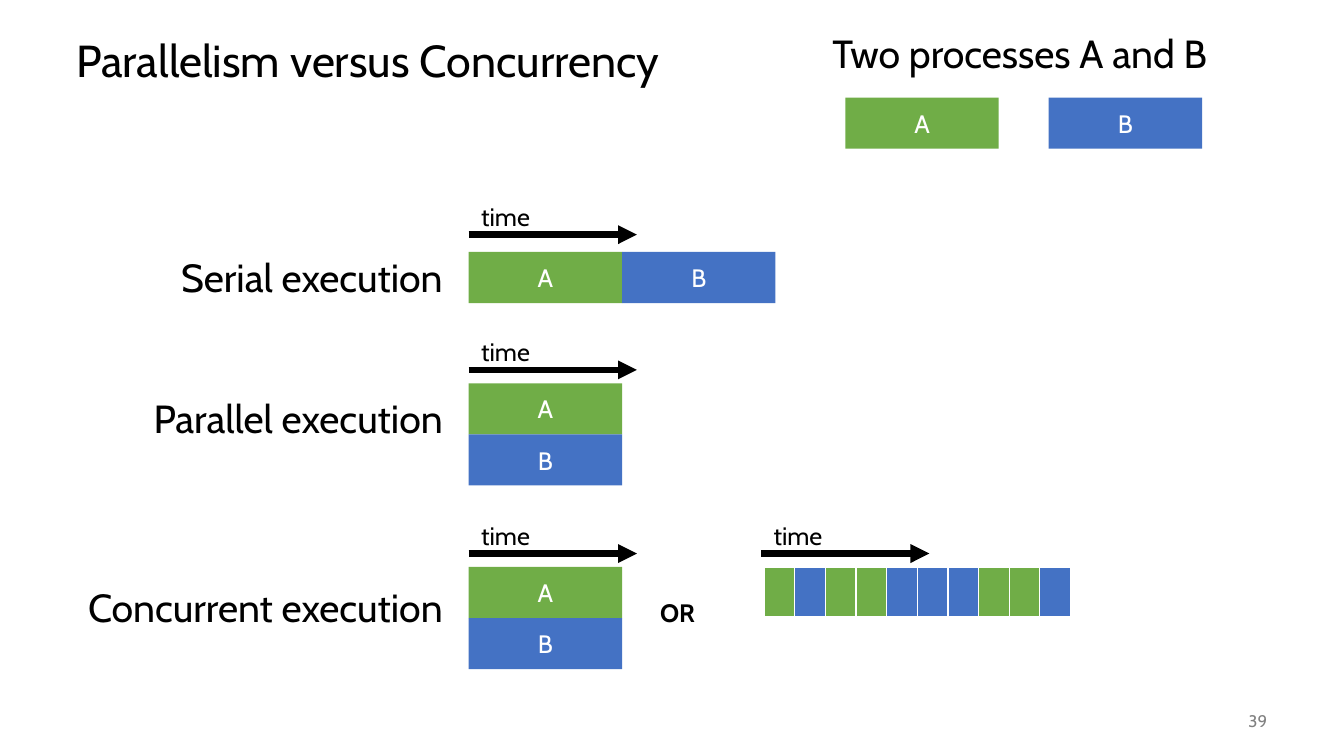
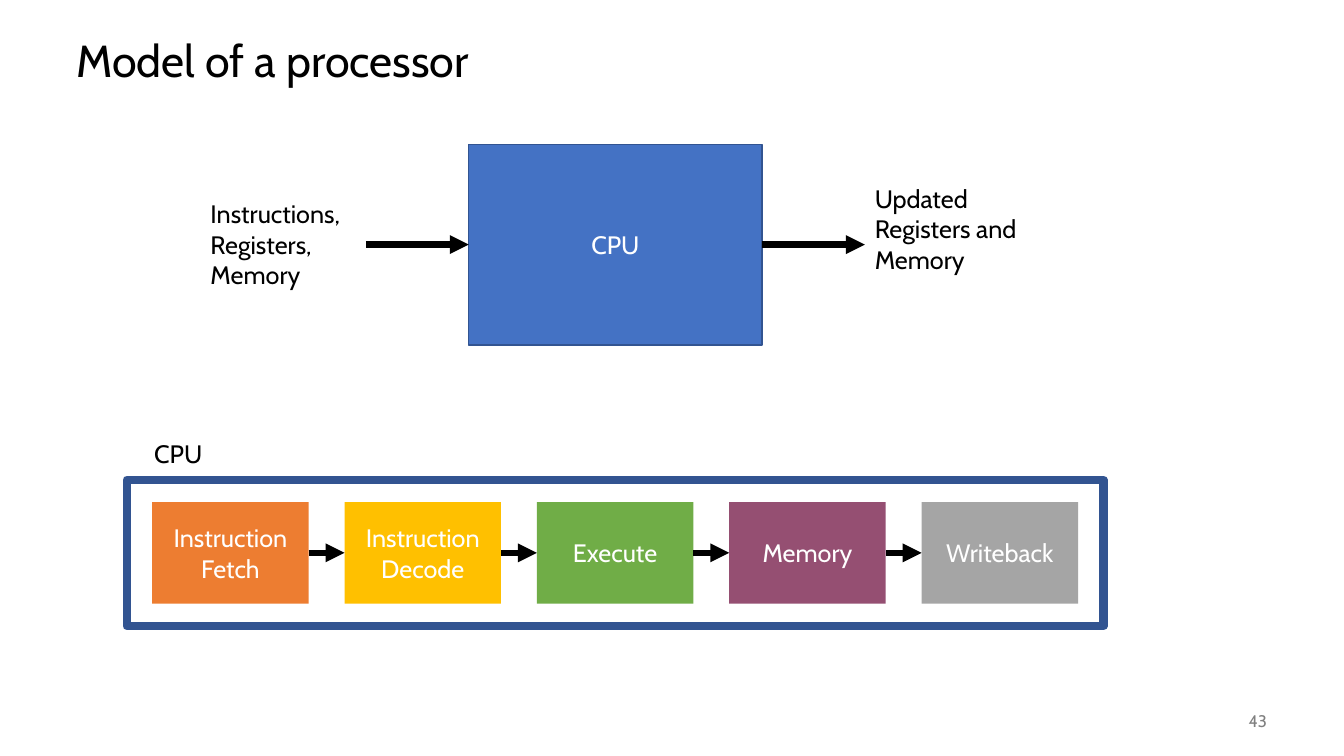
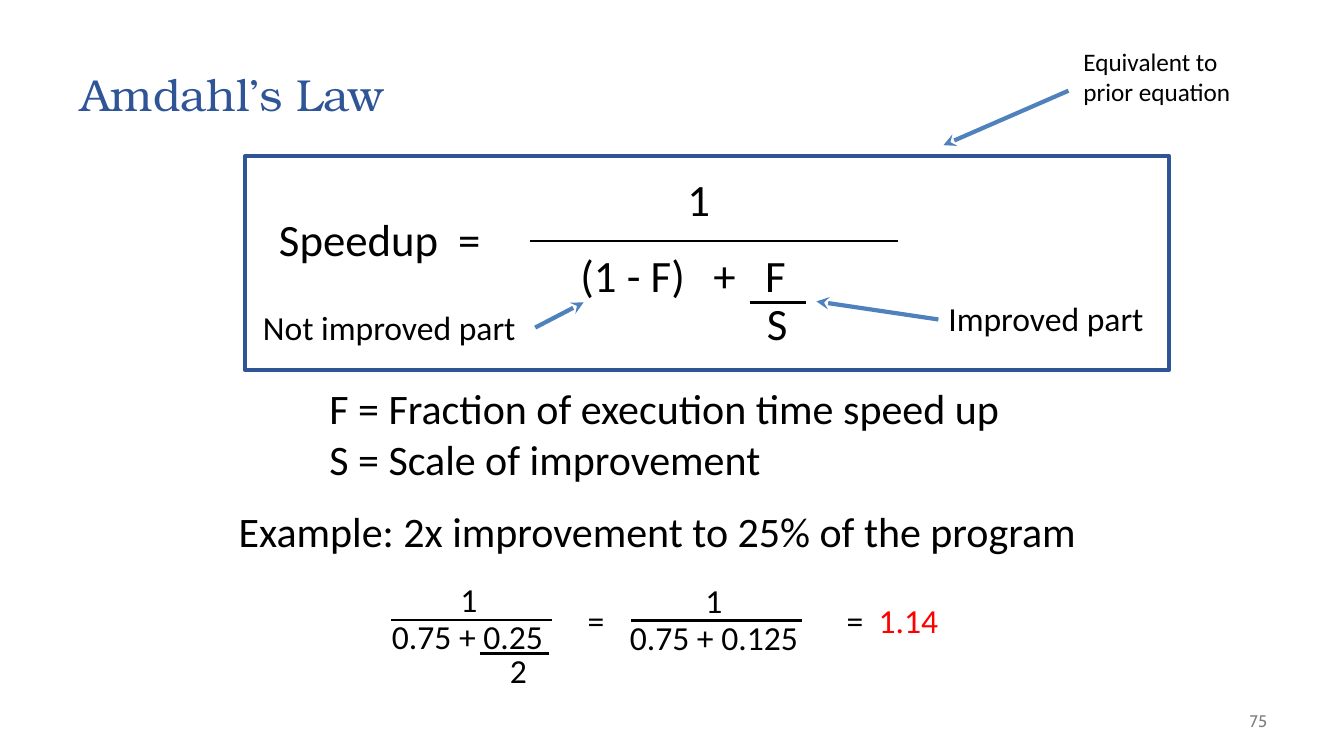
import pptx
import pptx.util
import pptx.dml.color
import pptx.enum.shapes
import pptx.enum.text
import pptx.oxml.ns
from lxml import etree

Pt = pptx.util.Pt
RGB = pptx.dml.color.RGBColor.from_string
ALIGN = pptx.enum.text.PP_ALIGN
ANCHOR = pptx.enum.text.MSO_ANCHOR
qn = pptx.oxml.ns.qn

HUES = {
    "black": "000000", "white": "FFFFFF", "gray": "808080",
    "green": "70AD47", "blue": "4472C4", "navy": "325491",
    "orange": "ED7D31", "gold": "FFC000", "plum": "954F72",
    "silver": "A5A5A5", "steel": "4F81BD", "royal": "2F5597", "red": "FF0000",
}


def put(slide, text, x, y, w, h, size=18, hue="black", font="Cabin", align="LEFT",
        anchor="TOP", bold=False, space=None, tabs=(), fill=None, edge=None):
    spot = [Pt(v) for v in (x, y, w, h)]
    if fill or edge:
        shape = slide.shapes.add_shape(pptx.enum.shapes.MSO_SHAPE.RECTANGLE, *spot)
        shape.shadow.inherit = False
        if fill:
            shape.fill.solid()
            shape.fill.fore_color.rgb = RGB(HUES[fill])
        else:
            shape.fill.background()
        if edge:
            shape.line.color.rgb = RGB(HUES[edge[0]])
            shape.line.width = Pt(edge[1])
        else:
            shape.line.fill.background()
    else:
        shape = slide.shapes.add_textbox(*spot)
    frame = shape.text_frame
    frame.word_wrap = True
    frame.vertical_anchor = getattr(ANCHOR, anchor)
    frame.text = text
    for para in frame.paragraphs:
        para.alignment = getattr(ALIGN, align)
        if space:
            para.line_spacing = space
        if tabs:
            stops = etree.SubElement(para._p.get_or_add_pPr(), qn("a:tabLst"))
            for stop in tabs:
                etree.SubElement(stops, qn("a:tab"), pos=str(Pt(stop)), algn="l")
        for run in para.runs:
            run.font.size = Pt(size)
            run.font.name = font
            run.font.bold = bold
            run.font.color.rgb = RGB(HUES[hue])
    return shape


def link(slide, x1, y1, x2, y2, hue="black", width=4.5, head="triangle"):
    line = slide.shapes.add_connector(
        pptx.enum.shapes.MSO_CONNECTOR.STRAIGHT, Pt(x1), Pt(y1), Pt(x2), Pt(y2))
    line.line.color.rgb = RGB(HUES[hue])
    line.line.width = Pt(width)
    if head:
        etree.SubElement(line.line._get_or_add_ln(), qn("a:tailEnd"), type=head)
    etree.SubElement(line._element.spPr, qn("a:effectLst"))
    return line


deck = pptx.Presentation()
deck.slide_width, deck.slide_height = Pt(960), Pt(540)

plain = {"x": 47.5, "y": 18, "w": 864, "h": 54, "space": 0.9}
serif = {"x": 50.4, "y": 21.6, "w": 864, "h": 90, "hue": "royal", "font": "TeX Gyre Bonum"}
slides = []
for title, page, style in (
    ("Parallelism versus Concurrency", "39", plain),
    ("Model of a processor", "43", plain),
    ("Amdahl’s Law", "75", serif),
):
    slide = deck.slides.add_slide(deck.slide_layouts[6])
    put(slide, title, size=32, anchor="MIDDLE", **style)
    put(slide, page, 840.2, 500.4, 72, 28.8, 12, "gray", align="RIGHT", anchor="MIDDLE")
    slides.append(slide)
modes, model, law = slides

put(modes, "Two processes A and B", 587.5, 20.9, 337, 80, 28, space=0.9)
left, wide, high = 334.8, 109.6, 36.5
for name, x, y in (
    ("A", 603.8, 69.7), ("B", 749.1, 69.7),
    ("A", left, 180), ("B", left + wide, 180),
    ("A", left, 273.8), ("B", left, 273.8 + high),
    ("A", left, 405), ("B", left, 405 + high),
):
    put(modes, name, x, y, wide, high, hue="white", align="CENTER", anchor="MIDDLE",
        fill="green" if name == "A" else "blue")

for label, y in (
    ("Serial execution", 177.2),
    ("Parallel execution", 278.4),
    ("Concurrent execution", 413),
):
    put(modes, label, 43.2, y, 280, 41, 28, align="RIGHT")

for x, y in ((left, 167.6), (left, 264.2), (left, 395.4), (543.7, 395.4)):
    link(modes, x, y, x + 120.2, y)
    put(modes, "time", x + 1.8, y - 27.2, 55.4, 29)
put(modes, "OR", 464.4, 423.4, 69, 29, bold=True)

turns = "ABAABBBAAB"
grid = modes.shapes.add_table(1, len(turns), Pt(545.8), Pt(405.4), Pt(219), Pt(36)).table
for col, turn in enumerate(turns):
    grid.columns[col].width = Pt(21.9)
    cell = grid.cell(0, col)
    for side, width in (("L", 1), ("R", 1), ("T", 1), ("B", 3)):
        rim = etree.SubElement(cell._tc.get_or_add_tcPr(), qn("a:ln" + side), w=str(Pt(width)))
        paint = etree.SubElement(rim, qn("a:solidFill"))
        etree.SubElement(paint, qn("a:srgbClr"), val=HUES["white"])
    cell.fill.solid()
    cell.fill.fore_color.rgb = RGB(HUES["green" if turn == "A" else "blue"])

source = put(model, "Instructions,\nRegisters,\nMemory", 143.3, 138.4, 118.1, 72.6)
core = put(model, "CPU", 334.8, 103, 209.6, 143.4, hue="white", align="CENTER",
           anchor="MIDDLE", fill="blue", edge=("navy", 1))
result = put(model, "Updated\nRegisters and\nMemory", 617.8, 127.5, 118.1, 94.4)

stages = []
for step, (name, hue) in enumerate((
    ("Instruction Fetch", "orange"),
    ("Instruction Decode", "gold"),
    ("Execute", "green"),
    ("Memory", "plum"),
    ("Writeback", "silver"),
)):
    stages.append(put(model, name, 108.7 + 137.4 * step, 358.6, 111.8, 72.6, hue="white",
                      align="CENTER", anchor="MIDDLE", fill=hue))
for chain in ([source, core, result], stages):
    for start, end in zip(chain, chain[1:]):
        arrow = link(model, 0, 0, 0, 0)
        arrow.begin_connect(start, 3)
        arrow.end_connect(end, 1)
put(model, "", 90.5, 342.7, 697.8, 104.4, edge=("navy", 6))
put(model, "CPU", 103, 309.6, 118, 29)

put(law, "", 175, 111.6, 660.2, 152.6, edge=("royal", 3))
for text, x, y, w, h, size, tabs in (
    ("Speedup\t=", 192.2, 148, 172, 46, 32, (128,)),
    ("(1 - F)\t+\tF", 407.5, 173.5, 172, 46, 32, (95, 132)),
    ("S", 540.7, 207.4, 29.5, 46, 32, ()),
    ("1", 484, 118.8, 29.5, 46, 32, ()),
    ("Not improved part", 180.7, 216, 201.6, 36, 24, ()),
    ("Improved part", 670.3, 209.5, 154.8, 36, 24, ()),
    ("F = Fraction of execution time speed up\nS = Scale of improvement",
     228.2, 270, 560, 81, 30, ()),
    ("Example: 2x improvement to 25% of the program", 163.4, 357.8, 622.8, 53, 30, ()),
    ("Equivalent to prior equation", 766.8, 29.5, 136, 60, 18, ()),
    ("1", 321.8, 409.7, 26.6, 36, 24, ()),
    ("0.75 + 0.25", 272.9, 436.3, 126, 36, 24, ()),
    ("2", 357.1, 460.8, 26.6, 36, 24, ()),
    ("=", 412.6, 424.8, 26.6, 36, 24, ()),
    ("1", 496.8, 410.4, 26.6, 36, 24, ()),
    ("0.75 + 0.125", 442.8, 437, 142, 36, 24, ()),
    ("=", 597.6, 424.8, 26.6, 36, 24, ()),
):
    put(law, text, x, y, w, h, size, font="Calibri", tabs=tabs)
put(law, "1.14", 620.6, 424.8, 60, 36, 24, "red", "Calibri")

for x1, x2, y in (
    (378.7, 641.5, 172.1), (535.7, 576, 216),
    (279.4, 394.6, 442.8), (342.7, 392.4, 466.6), (450.7, 573.1, 443.5),
):
    link(law, x1, y, x2, y, width=2, head=None)
for ends in (
    (382.3, 234, 416.9, 216),
    (670.3, 228.2, 583.2, 215.3),
    (763.2, 64.8, 673.9, 103.7),
):
    link(law, *ends, hue="steel", width=3, head="stealth")

deck.save("out.pptx")
